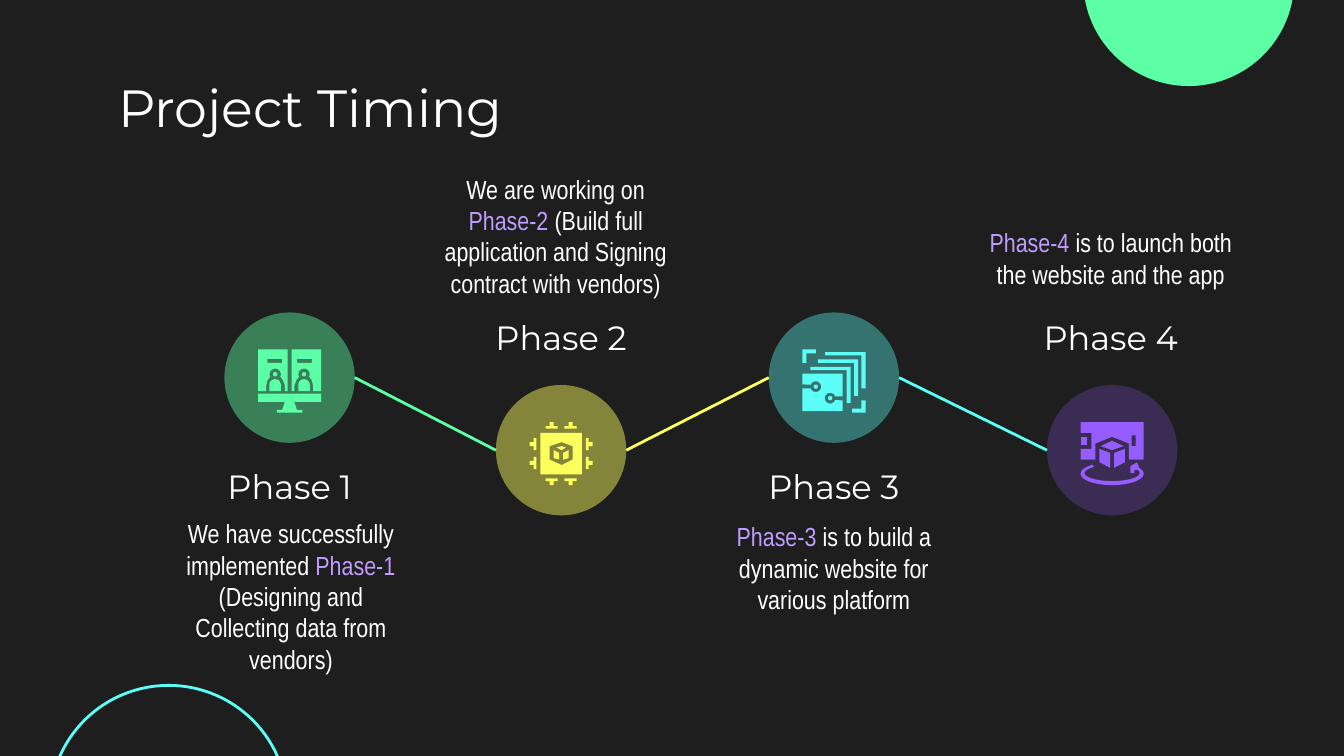
"""Build the Project Timing slide: four linked phases with icons."""
from dataclasses import dataclass
from math import cos, radians, sin

from lxml.etree import SubElement
from pptx import Presentation
from pptx.dml.color import RGBColor
from pptx.enum.shapes import MSO_CONNECTOR, MSO_SHAPE
from pptx.enum.text import MSO_ANCHOR, MSO_AUTO_SIZE, PP_ALIGN
from pptx.oxml.ns import qn
from pptx.util import Inches, Pt


@dataclass(frozen=True)
class Theme:
    background: str = "1E1E1E"
    text: str = "FFFFFF"
    accent: str = "BF9DFF"
    green: str = "5CFFA6"
    yellow: str = "FDFF5C"
    cyan: str = "5CFFF8"
    violet: str = "955CFF"
    heading_font: str = "Montserrat"
    body_font: str = "Arial Narrow"
    title_size: int = 28
    heading_size: int = 18
    body_size: int = 14
    line_width: float = 1.5


def arc(center_x, center_y, radius_x, radius_y, start, end):
    """Return points along an elliptical arc, with angles in degrees."""
    angles = [radians(start + (end - start) * step / 32) for step in range(33)]
    return [(center_x + radius_x * cos(angle), center_y + radius_y * sin(angle)) for angle in angles]


def write_text(shape, runs, font_name, size, alignment):
    """Fill a text shape with one paragraph of (text, colour) runs."""
    frame = shape.text_frame
    frame.word_wrap = True
    frame.auto_size = MSO_AUTO_SIZE.NONE
    frame.vertical_anchor = MSO_ANCHOR.MIDDLE
    frame.margin_left = frame.margin_right = frame.margin_top = frame.margin_bottom = Inches(0.1)
    paragraph = frame.paragraphs[0]
    paragraph.alignment = alignment
    for text, color in runs:
        run = paragraph.add_run()
        run.text = text
        run.font.name = font_name
        run.font.size = Pt(size)
        run.font.color.rgb = RGBColor.from_string(color)


theme = Theme()
presentation = Presentation()
presentation.slide_width = Inches(10)
presentation.slide_height = Inches(10 * 9 / 16)
slide = presentation.slides.add_slide(presentation.slide_layouts[5])
slide.background.fill.solid()
slide.background.fill.fore_color.rgb = RGBColor.from_string(theme.background)

green_disc = slide.shapes.add_shape(MSO_SHAPE.OVAL, Inches(8.06), Inches(-0.93), Inches(1.57), Inches(1.57))
green_disc.shadow.inherit = False
green_disc.fill.solid()
green_disc.fill.fore_color.rgb = RGBColor.from_string(theme.green)
green_disc.line.fill.background()

cyan_ring = slide.shapes.add_shape(MSO_SHAPE.OVAL, Inches(0.37), Inches(5.1), Inches(1.77), Inches(1.77))
cyan_ring.shadow.inherit = False
cyan_ring.fill.background()
cyan_ring.line.color.rgb = RGBColor.from_string(theme.cyan)
cyan_ring.line.width = Pt(theme.line_width)

title = slide.shapes.title
title.left, title.top, title.width, title.height = Inches(0.78), Inches(0.54), Inches(8.44), Inches(0.51)
write_text(title, [("Project Timing", theme.text)], theme.heading_font, theme.title_size, PP_ALIGN.LEFT)

icon_size = 47

attendee_panel = [
    [(0, 0), (0, 31), (6, 31), (6, 27), (7, 23), *arc(12.75, 18.5, 4.2, 4.2, 155, 385),
     (18.5, 23), (20, 27), (20, 31), (22, 31), (22, 0)],
    [(7, 7), (18, 7), (18, 10), (7, 10)],
]
attendee_head = [arc(12.75, 18.5, 1.6, 1.6, 0, 360)]
attendee_body = [[*arc(12.75, 26.5, 4.3, 4.3, 180, 360), (17, 31), (8.45, 31)]]
meeting_icon = [[[(0, 33), (0, 39), (20, 39), (18, 45), (14, 45), (14, 47),
                  (33, 47), (33, 45), (29, 45), (27, 39), (47, 39), (47, 33)]]]
for part in (attendee_panel, attendee_head, attendee_body):
    meeting_icon += [part, [[(icon_size - x, y) for x, y in contour] for contour in part]]

chip_icon = [
    [[(8, 8), (39, 8), (39, 39), (8, 39)], [(24, 15), (32, 18), (32, 28), (24, 32), (15, 28), (15, 18)]],
    [[(24, 18), (20, 19), (24, 21), (27, 19)]],
    [[(18, 21), (18, 27), (22, 28), (22, 23)]],
    [[(29, 21), (25, 23), (25, 28), (29, 27)]],
]
for shift in (0, 14):
    pin = [(x, y + shift) for x, y in
           [(42, 12), (42, 21), (44, 21), (44, 18), (47, 18), (47, 15), (44, 15), (44, 12)]]
    chip_icon += [
        [pin],
        [[(icon_size - x, y) for x, y in pin]],
        [[(y, x) for x, y in pin]],
        [[(y, icon_size - x) for x, y in pin]],
    ]

layers_icon = [
    [[(0, 0), (0, 10), (3, 10), (3, 3), (10, 3), (10, 0)]],
    [[(44, 38), (44, 44), (37, 44), (37, 47), (47, 47), (47, 38)]],
    [[(0, 18), (0, 26), *arc(10, 27.7, 4, 4, 200, 520), (0, 29), (0, 46), (30, 46), (30, 38),
      *arc(20.7, 36.3, 4, 4, 20, 340), (30, 35), (30, 18)]],
    [arc(10, 27.7, 1.6, 1.6, 0, 360)],
    [arc(20.7, 36.3, 1.6, 1.6, 0, 360)],
]
for shift in (0, 5.5, 11):
    layers_icon.append([[(x - shift, y + shift) for x, y in
                         [(17, 2), (17, 4.5), (44, 4.5), (44, 29), (47, 29), (47, 2)]]])

launch_icon = [
    [[(0, 11), (5, 11), (5, 17), (0, 17)]],
    [[(42, 30), (37, 33), (37, 38), (40, 38), (40, 36), *arc(23.5, 38, 20.5, 6, -25, 229),
      *arc(23.5, 38.5, 23.5, 8.5, 232, -32), (43, 32)]],
    [[(23.5, 14), (15, 18), (23.5, 21), (32, 18)]],
    [[(14, 20), (14, 30), (22, 34), (22, 23)]],
    [[(33, 20), (33, 30), (25, 34), (25, 23)]],
    [[(0, 0), (0, 8), (8, 8), (8, 20), (0, 20), (0, 28), (11, 28), (11, 16), (23.5, 11),
      (36, 16), (36, 28), (47, 28), (47, 0)], [(38, 10), (41, 10), (41, 18), (38, 18)]],
]

high, low = 2.81, 3.35
diameter = 0.97
text_width = 2.01
phases = [
    ("Phase 1", 1.67, high, theme.green, 44, meeting_icon, (1.15, 3.39), (1.16, 3.86, 1.15),
     [("We have successfully implemented ", theme.text), ("Phase-1", theme.accent),
      (" (Designing and Collecting data from vendors)", theme.text)]),
    ("Phase 2", 3.69, low, theme.yellow, 46, chip_icon, (3.17, 2.28), (3.13, 1.22, 1.07),
     [("We are working on ", theme.text), ("Phase-2", theme.accent),
      (" (Build full application and Signing contract with vendors)", theme.text)]),
    ("Phase 3", 5.72, high, theme.cyan, 38, layers_icon, (5.2, 3.39), (5.2, 3.94, 0.57),
     [("Phase-3", theme.accent), (" is to build a dynamic website for various platform", theme.text)]),
    ("Phase 4", 7.79, low, theme.violet, 24, launch_icon, (7.26, 2.28), (7.26, 1.55, 0.74),
     [("Phase-4", theme.accent), (" is to launch both the website and the app", theme.text)]),
]

for name, left, middle, color, opacity, icon, heading_place, body_place, body_runs in phases:
    circle = slide.shapes.add_shape(
        MSO_SHAPE.OVAL, Inches(left), Inches(middle - diameter / 2), Inches(diameter), Inches(diameter))
    circle.shadow.inherit = False
    circle.fill.solid()
    circle.fill.fore_color.rgb = RGBColor.from_string(color)
    circle.line.fill.background()
    color_element = circle.fill._xPr.find(qn("a:solidFill"))[0]
    SubElement(color_element, qn("a:alpha"), val=str(opacity * 1000))

    icon_parts = []
    for contours in icon:
        builder = None
        for contour in contours:
            points = [(x * 100, y * 100) for x, y in contour]
            if builder is None:
                builder = slide.shapes.build_freeform(*points[0], scale=Inches(0.01) / 100)
            else:
                builder.move_to(*points[0])
            builder.add_line_segments(points[1:], close=True)
        part = builder.convert_to_shape(Inches(left + 0.25), Inches(middle - 0.21))
        part.shadow.inherit = False
        part.fill.solid()
        part.fill.fore_color.rgb = RGBColor.from_string(color)
        part.line.fill.background()
        icon_parts.append(part)
    slide.shapes.add_group_shape(icon_parts)

    heading_left, heading_top = heading_place
    heading = slide.shapes.add_textbox(
        Inches(heading_left), Inches(heading_top), Inches(text_width), Inches(0.46))
    write_text(heading, [(name, theme.text)], theme.heading_font, theme.heading_size, PP_ALIGN.CENTER)
    body_left, body_top, body_height = body_place
    body = slide.shapes.add_textbox(
        Inches(body_left), Inches(body_top), Inches(text_width), Inches(body_height))
    write_text(body, body_runs, theme.body_font, theme.body_size, PP_ALIGN.CENTER)

for current, following in zip(phases, phases[1:]):
    link = slide.shapes.add_connector(
        MSO_CONNECTOR.STRAIGHT, Inches(current[1] + diameter), Inches(current[2]),
        Inches(following[1]), Inches(following[2]))
    link.line.color.rgb = RGBColor.from_string(current[3])
    link.line.width = Pt(theme.line_width)
    SubElement(link._element.spPr, qn("a:effectLst"))

presentation.save("out.pptx")
